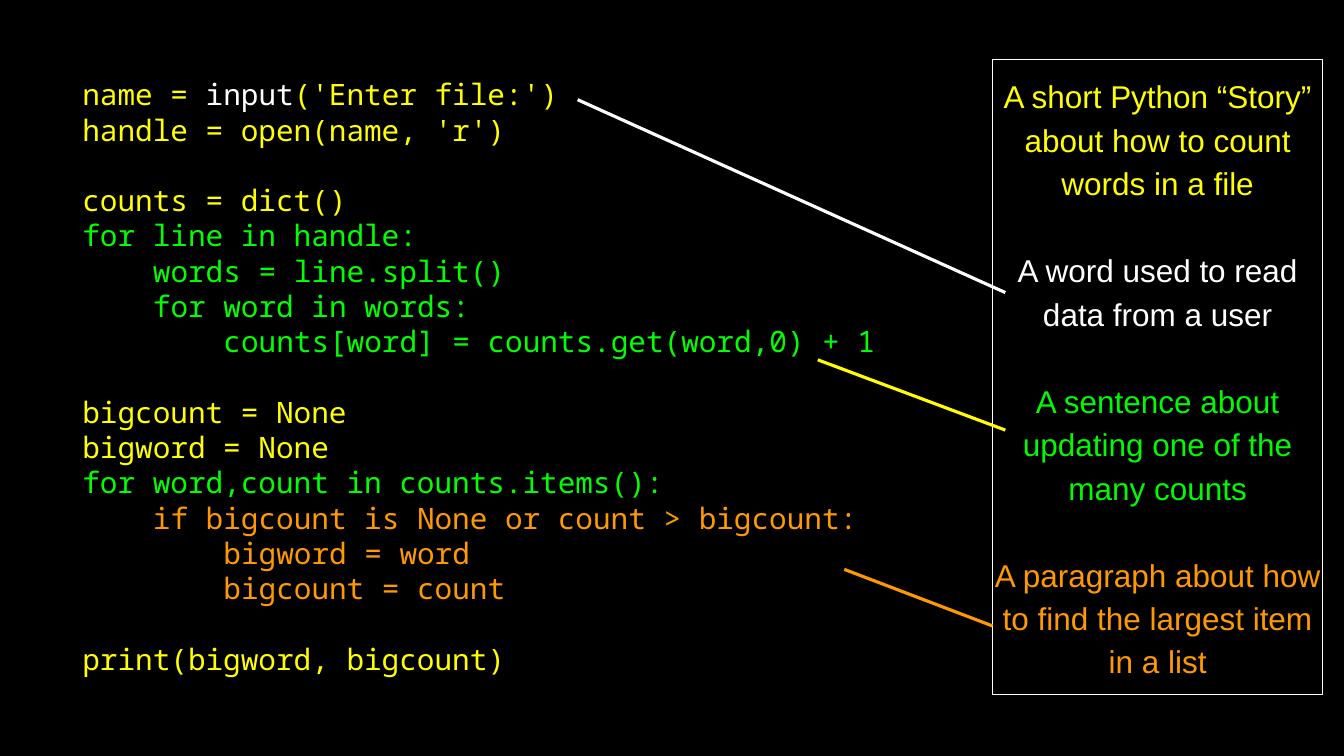
import pptx
import pptx.util
import pptx.dml.color
import pptx.enum.shapes
import pptx.enum.text
import pptx.oxml
import pptx.oxml.ns

Cm = pptx.util.Cm
Pt = pptx.util.Pt
RGBColor = pptx.dml.color.RGBColor
Align = pptx.enum.text.PP_ALIGN

BLACK = RGBColor(0, 0, 0)
WHITE = RGBColor(255, 255, 255)
YELLOW = RGBColor(255, 255, 0)
GREEN = RGBColor(0, 255, 0)
LEAF = RGBColor(0, 250, 0)
ORANGE = RGBColor(255, 153, 0)

CODE = [
    [
        (0, [("name = ", YELLOW), ("input", WHITE), ("('Enter file:')", YELLOW)]),
        (0, [("handle = open(name, 'r')", YELLOW)]),
    ],
    [
        (0, [("counts = dict()", YELLOW)]),
        (0, [("for line in handle:", GREEN)]),
        (1, [("words = line.split()", GREEN)]),
        (1, [("for word in words:", GREEN)]),
        (2, [("counts[word] = counts.get(word,0) + 1", GREEN)]),
    ],
    [
        (0, [("bigcount = None", YELLOW)]),
        (0, [("bigword = None", YELLOW)]),
        (0, [("for word,count in counts.items():", GREEN)]),
        (1, [("if bigcount is None or count > bigcount:", ORANGE)]),
        (2, [("bigword = word", ORANGE)]),
        (2, [("bigcount = count", ORANGE)]),
    ],
    [(0, [("print(bigword, bigcount)", YELLOW)])],
]
NOTES = [
    [(0, [("A short Python “Story” about how to count words in a file", YELLOW)])],
    [(0, [("A word used to read data from a user", WHITE)])],
    [(0, [("A sentence about updating one of the many counts", LEAF)])],
    [(0, [("A paragraph about how to find the largest item in a list", ORANGE)])],
]
POINTERS = [
    ((19.41, 3.35), (33.78, 9.83), WHITE),
    ((27.48, 12.09), (33.78, 14.45), YELLOW),
    ((28.37, 19.13), (33.35, 21.03), ORANGE),
]
CODE_AREA = (2.77, 2.44, 27.86, 20.4)
NOTES_AREA = (33.35, 3.12, 11.1, 19.02)
FRAME_AREA = (33.35, 1.98, 11.1, 21.34)
CODE_FORMAT = {"name": "Noto Sans Mono", "size": Pt(28)}
NOTES_FORMAT = {"name": "Arial", "size": Pt(30)}
INDENT = Cm(2.37)


def set_all(target, values):
    for name, value in values.items():
        setattr(target, name, value)


def add_text(page, area, blocks, font, align, pitch):
    box = page.shapes.add_textbox(*map(Cm, area))
    frame = box.text_frame
    set_all(frame, {
        "word_wrap": True,
        "vertical_anchor": pptx.enum.text.MSO_ANCHOR.MIDDLE,
        "margin_left": 0, "margin_right": 0,
        "margin_top": 0, "margin_bottom": 0,
    })
    para = None
    for block_index, block in enumerate(blocks):
        for line_index, (level, spans) in enumerate(block):
            para = frame.add_paragraph() if para else frame.paragraphs[0]
            gap = pitch if block_index and not line_index else Pt(0)
            set_all(para, {"alignment": align, "line_spacing": pitch,
                           "space_before": gap})
            if level:
                para._p.get_or_add_pPr().set("marL", str(level * INDENT))
            for text, color in spans:
                span = para.add_run()
                span.text = text
                set_all(span.font, font)
                span.font.color.rgb = color


def add_frame(page):
    frame = page.shapes.add_shape(
        pptx.enum.shapes.MSO_SHAPE.RECTANGLE, *map(Cm, FRAME_AREA))
    frame.shadow.inherit = False
    frame.fill.background()
    frame.line.color.rgb = WHITE
    frame.line.width = Pt(0.75)


def add_pointer(page, start, end, color):
    pointer = page.shapes.add_connector(
        pptx.enum.shapes.MSO_CONNECTOR.STRAIGHT, *map(Cm, start + end))
    pointer.line.color.rgb = color
    pointer.line.width = Pt(3)
    pointer._element.spPr.append(
        pptx.oxml.parse_xml(f"<a:effectLst {pptx.oxml.ns.nsdecls('a')}/>"))


def main():
    deck = pptx.Presentation()
    set_all(deck, {"slide_width": Cm(45.16), "slide_height": Cm(25.4)})
    page = deck.slides.add_slide(deck.slide_layouts[6])
    page.background.fill.solid()
    page.background.fill.fore_color.rgb = BLACK
    add_text(page, CODE_AREA, CODE, CODE_FORMAT, Align.LEFT, Pt(33.6))
    add_frame(page)
    add_text(page, NOTES_AREA, NOTES, NOTES_FORMAT, Align.CENTER, Pt(41.4))
    for pointer in POINTERS:
        add_pointer(page, *pointer)
    deck.save("out.pptx")


if __name__ == "__main__":
    main()
